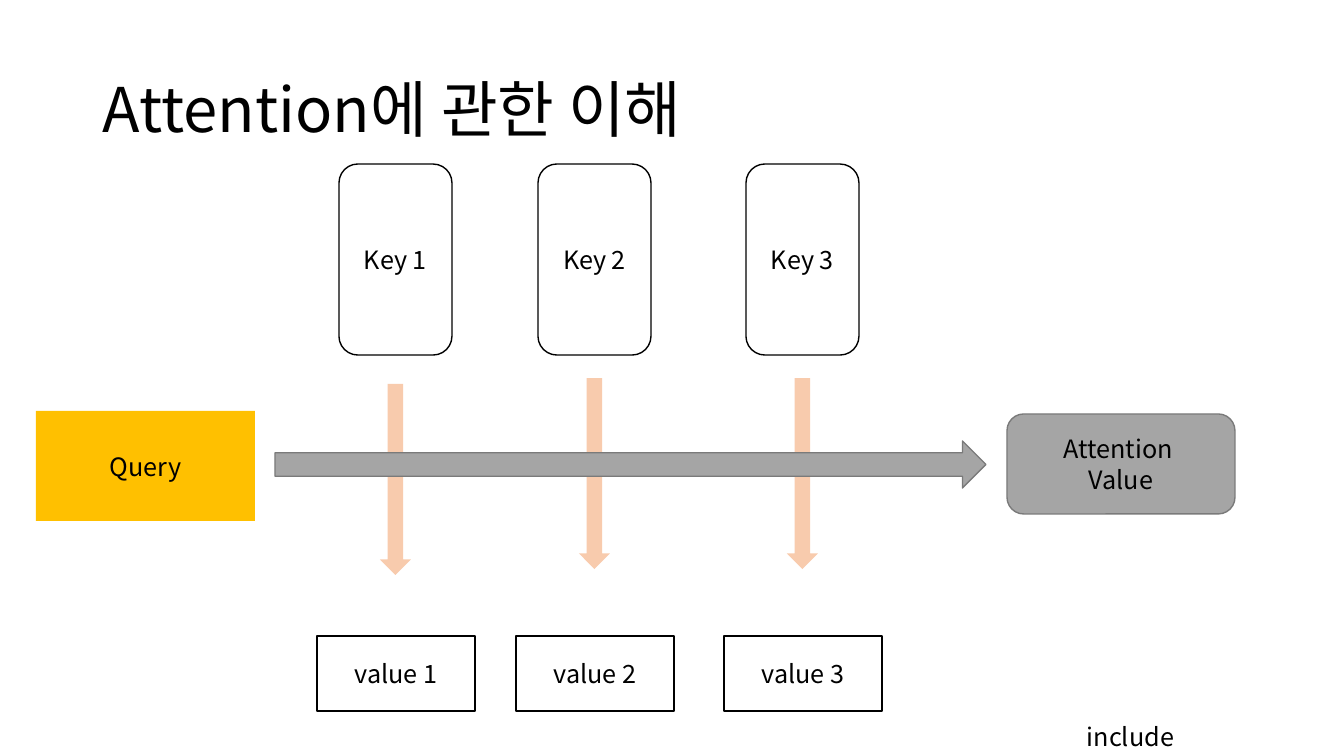
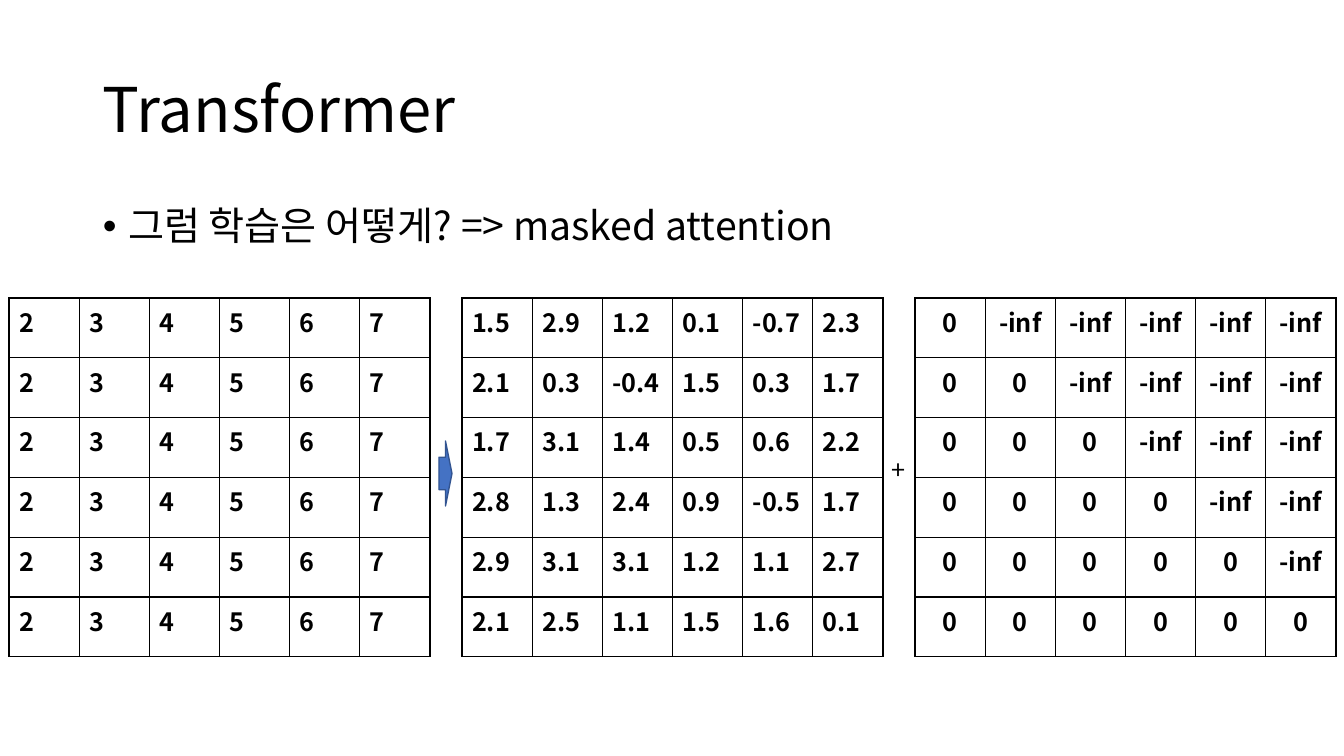
from lxml.etree import SubElement
from pptx import Presentation
from pptx.dml.color import RGBColor
from pptx.enum.shapes import MSO_SHAPE as Shape
from pptx.enum.text import MSO_ANCHOR as Anchor, PP_ALIGN as Align
from pptx.oxml.ns import qn
from pptx.util import Pt

W, H = 1344, 756
EMU = 12192000 / W
FONT = "Noto Sans CJK KR"
COLORS = {
    "ink": "000000", "paper": "FFFFFF", "query": "FFC000", "flow": "F8CBAD",
    "gray": "A5A5A5", "gray_line": "7A7A7A", "blue": "4472C4", "blue_line": "325491",
}
TITLE_BOX = (93, 40, 1159, 146)
BODY_BOX = (93, 202, 1159, 480)


def px(n):
    return round(n * EMU)


def color(name):
    return RGBColor.from_string(COLORS[name])


def style_text(tf, size=18, bold=False, align=Align.LEFT, spacing=None):
    for p in tf.paragraphs:
        p.alignment = align
        p.line_spacing = spacing
        for r in p.runs:
            r.font.size = Pt(size)
            r.font.bold = bold
            r.font.name = FONT
            r.font.color.rgb = color("ink")
            SubElement(r.font._element, qn("a:ea"), typeface=FONT)


def add_text(s, box, text, size=18, anchor=Anchor.TOP, spacing=None):
    tf = s.shapes.add_textbox(*map(px, box)).text_frame
    tf.word_wrap = True
    tf.vertical_anchor = anchor
    tf.text = text
    style_text(tf, size, spacing=spacing)
    return tf


def add_shape(s, kind, box, fill=None, line=None, text=""):
    sp = s.shapes.add_shape(kind, *map(px, box))
    sp.shadow.inherit = False
    if fill:
        sp.fill.solid()
        sp.fill.fore_color.rgb = color(fill)
    else:
        sp.fill.background()
    if line:
        sp.line.color.rgb = color(line)
        sp.line.width = Pt(1)
    else:
        sp.line.fill.background()
    if text:
        tf = sp.text_frame
        tf.word_wrap = True
        tf.vertical_anchor = Anchor.MIDDLE
        tf.text = text
        style_text(tf, align=Align.CENTER)


def add_title(s, text):
    add_text(s, TITLE_BOX, text, 44, Anchor.MIDDLE, 0.9)


def add_bullet(s, box, text):
    p = add_text(s, box, text, 28, spacing=0.9).paragraphs[0]
    p.space_before = Pt(10)
    pPr = p._p.get_or_add_pPr()
    pPr.set("marL", "228600")
    pPr.set("indent", "-228600")
    SubElement(pPr, qn("a:buFont"), typeface="Arial")
    SubElement(pPr, qn("a:buChar"), char="•")


def style_cell(cell, align):
    tcPr = cell._tc.get_or_add_tcPr()
    for side in ("lnL", "lnR", "lnT", "lnB"):
        ln = SubElement(tcPr, qn(f"a:{side}"), w=str(Pt(1)))
        fill = SubElement(ln, qn("a:solidFill"))
        SubElement(fill, qn("a:srgbClr"), val=COLORS["ink"])
    cell.fill.solid()
    cell.fill.fore_color.rgb = color("paper")
    style_text(cell.text_frame, bold=True, align=align)


def add_matrix(s, box, rows, align=Align.LEFT):
    frame = s.shapes.add_table(len(rows), len(rows[0]), *map(px, box))
    table = frame.table
    table.first_row = table.horz_banding = False
    for i, row in enumerate(rows):
        for j, value in enumerate(row):
            cell = table.cell(i, j)
            cell.text = value
            style_cell(cell, align)


def add_key_value(s, box, number, arrow_top):
    x, y, w, h = box
    key_w, key_h, arrow_w, value_h = 113, 191, 31, 75
    add_shape(s, Shape.ROUNDED_RECTANGLE, (x + (w - key_w) // 2, y, key_w, key_h),
              line="ink", text=f"Key {number}")
    add_shape(s, Shape.DOWN_ARROW, (x + (w - arrow_w) // 2, y + arrow_top, arrow_w, key_h),
              fill="flow")
    add_shape(s, Shape.RECTANGLE, (x, y + h - value_h, w, value_h),
              line="ink", text=f"value {number}")


def attention_slide(prs):
    s = prs.slides.add_slide(prs.slide_layouts[6])
    add_title(s, "Attention에 관한 이해")
    add_text(s, (1077, 716, 267, 40), "include")
    add_shape(s, Shape.RECTANGLE, (36, 411, 219, 110), fill="query", text="Query")
    for number, (x, arrow_top) in enumerate([(317, 220), (516, 214), (724, 214)], 1):
        add_key_value(s, (x, 164, 158, 547), number, arrow_top)
    add_shape(s, Shape.RIGHT_ARROW, (275, 441, 711, 47), "gray", "gray_line")
    add_shape(s, Shape.ROUNDED_RECTANGLE, (1007, 414, 228, 100), "gray", "gray_line",
              "Attention \nValue")


def transformer_slide(prs):
    s = prs.slides.add_slide(prs.slide_layouts[6])
    add_title(s, "Transformer")
    add_bullet(s, BODY_BOX, "그럼 학습은 어떻게? => masked attention")
    n = 6
    tokens = [[str(t) for t in range(2, 2 + n)]] * n
    scores = [row.split() for row in (
        "1.5 2.9 1.2 0.1 -0.7 2.3",
        "2.1 0.3 -0.4 1.5 0.3 1.7",
        "1.7 3.1 1.4 0.5 0.6 2.2",
        "2.8 1.3 2.4 0.9 -0.5 1.7",
        "2.9 3.1 3.1 1.2 1.1 2.7",
        "2.1 2.5 1.1 1.5 1.6 0.1",
    )]
    mask = [["0" if j <= i else "-inf" for j in range(n)] for i in range(n)]
    left, top, w, h, pitch = 9, 298, 421, 359, 453
    matrices = [(tokens, Align.LEFT), (scores, Align.LEFT), (mask, Align.CENTER)]
    for k, (rows, align) in enumerate(matrices):
        add_matrix(s, (left + k * pitch, top, w, h), rows, align)
    add_text(s, (882, 449, 91, 40), "+")
    add_shape(s, Shape.RIGHT_ARROW, (439, 441, 13, 65), "blue", "blue_line")


prs = Presentation()
prs.slide_width, prs.slide_height = px(W), px(H)
attention_slide(prs)
transformer_slide(prs)
prs.save("out.pptx")
